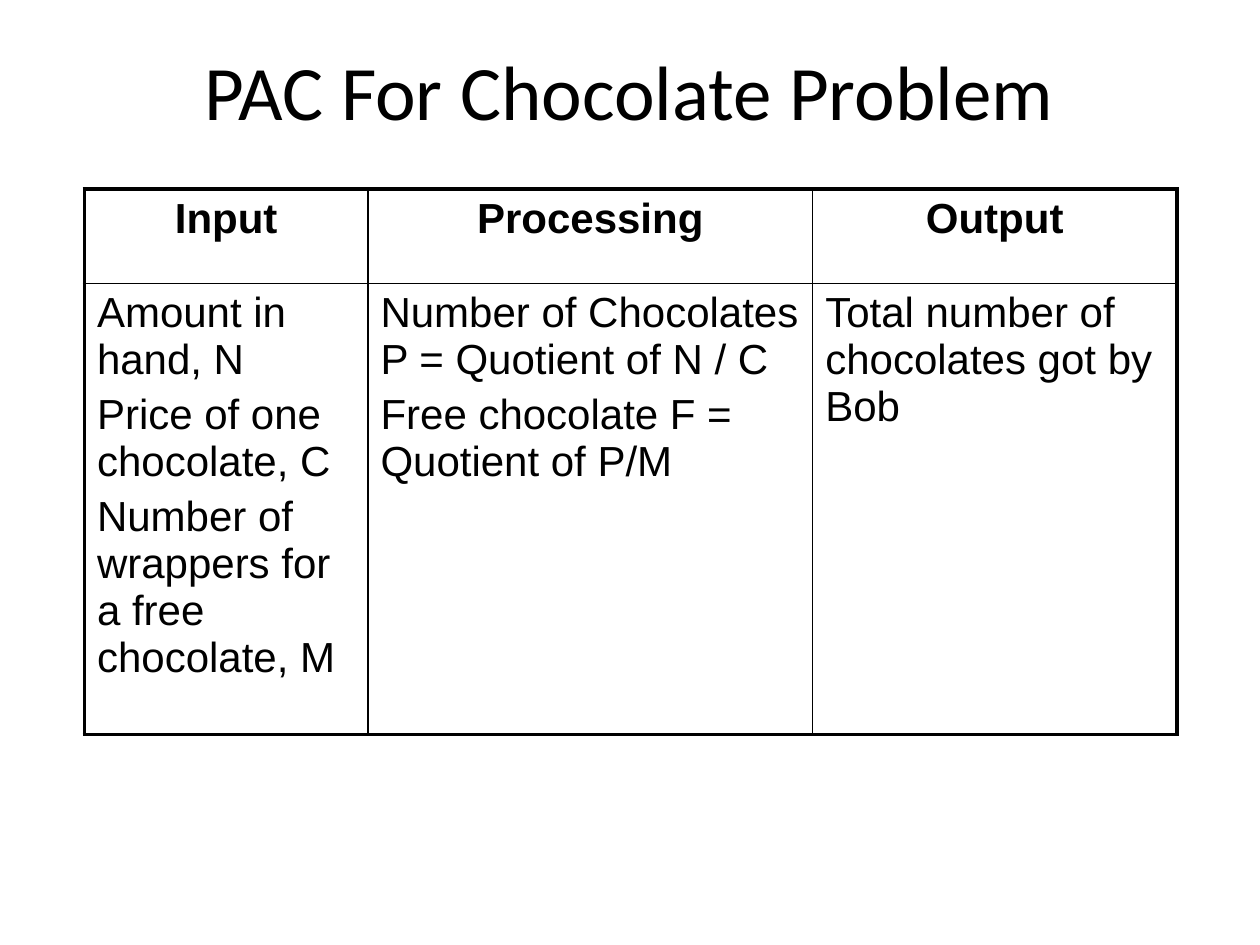
from pptx import Presentation
from pptx.dml.color import RGBColor
from pptx.enum.text import MSO_ANCHOR, PP_ALIGN
from pptx.oxml.ns import qn
from pptx.util import Inches, Pt
from lxml.etree import SubElement

BLACK = "000000"
THICK, THIN = 2.25, 1
COLUMN_WIDTHS = [2.25, 3.53, 2.89]
ROW_HEIGHTS = [0.75, 3.58]
PAC_ROWS = [
    [["Input"], ["Processing"], ["Output"]],
    [
        ["Amount in hand, N", "Price of one chocolate, C",
         "Number of wrappers for a free chocolate, M"],
        ["Number of Chocolates P = Quotient of N / C",
         "Free chocolate F = Quotient of P/M"],
        ["Total number of chocolates got by Bob"],
    ],
]


def color(value):
    return RGBColor.from_string(value)


def write(frame, paragraphs, size=24, font="Arial", bold=False,
          align=PP_ALIGN.LEFT, space_before=0.0):
    """Fill a text frame, one paragraph per string."""
    frame.word_wrap = True
    for index, text in enumerate(paragraphs):
        paragraph = frame.paragraphs[0] if index == 0 else frame.add_paragraph()
        paragraph.alignment = align
        paragraph.space_before = Pt(size * space_before)
        run = paragraph.add_run()
        run.text = text
        run.font.size = Pt(size)
        run.font.name = font
        run.font.bold = bold
        run.font.color.rgb = color(BLACK)


def add_borders(cell, **widths):
    """Draw the cell's edges; widths are points keyed by L, R, T, B."""
    properties = cell._tc.get_or_add_tcPr()
    for side in "LRTB":
        line = SubElement(properties, qn(f"a:ln{side}"), w=str(Pt(widths[side])))
        fill = SubElement(line, qn("a:solidFill"))
        SubElement(fill, qn("a:srgbClr"), val=BLACK)


def add_title(slide, text):
    title = slide.shapes.title
    title.left, title.top = Inches(0.33), Inches(0.17)
    title.width, title.height = Inches(9.33), Inches(1.08)
    title.text_frame.vertical_anchor = MSO_ANCHOR.MIDDLE
    write(title.text_frame, [text], size=44, font="Calibri", align=PP_ALIGN.CENTER)


def add_pac_table(slide):
    last_row, last_column = len(ROW_HEIGHTS) - 1, len(COLUMN_WIDTHS) - 1
    table = slide.shapes.add_table(
        len(ROW_HEIGHTS), len(COLUMN_WIDTHS), Inches(0.67), Inches(1.5),
        Inches(sum(COLUMN_WIDTHS)), Inches(sum(ROW_HEIGHTS))).table
    table.first_row = table.horz_banding = False
    for column, width in zip(table.columns, COLUMN_WIDTHS):
        column.width = Inches(width)
    for row, height in zip(table.rows, ROW_HEIGHTS):
        row.height = Inches(height)

    for r, contents in enumerate(PAC_ROWS):
        header = r == 0
        for c, paragraphs in enumerate(contents):
            cell = table.cell(r, c)
            write(cell.text_frame, paragraphs, bold=header, space_before=0.2,
                  align=PP_ALIGN.CENTER if header else PP_ALIGN.LEFT)
            # Outer edges are thick, inner ones thin
            add_borders(cell,
                        L=THICK if c == 0 else THIN,
                        R=THICK if c == last_column else THIN,
                        T=THICK if r == 0 else THIN,
                        B=THICK if r == last_row else THIN)
            cell.fill.background()


def main():
    presentation = Presentation()
    presentation.slide_width, presentation.slide_height = Inches(10), Inches(7.5)
    slide = presentation.slides.add_slide(presentation.slide_layouts[5])
    add_title(slide, "PAC For Chocolate Problem")
    add_pac_table(slide)
    presentation.save("out.pptx")


main()
